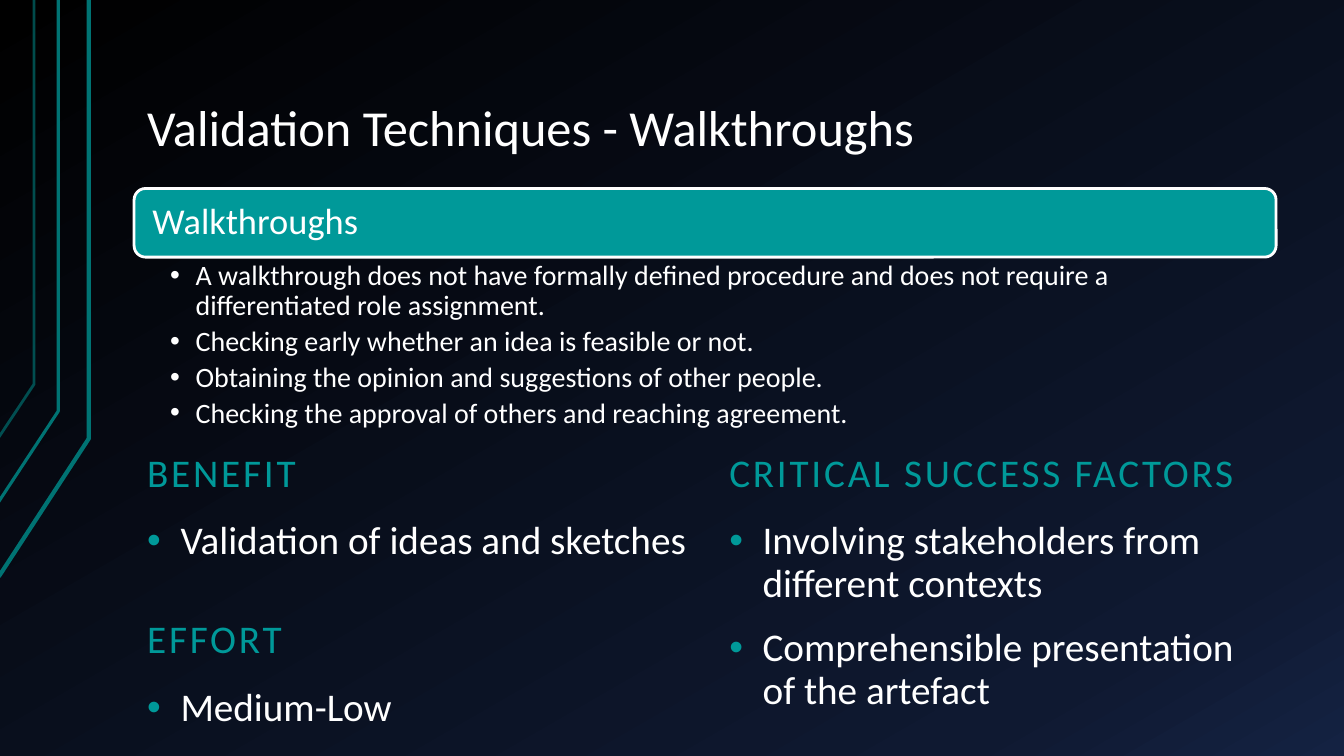
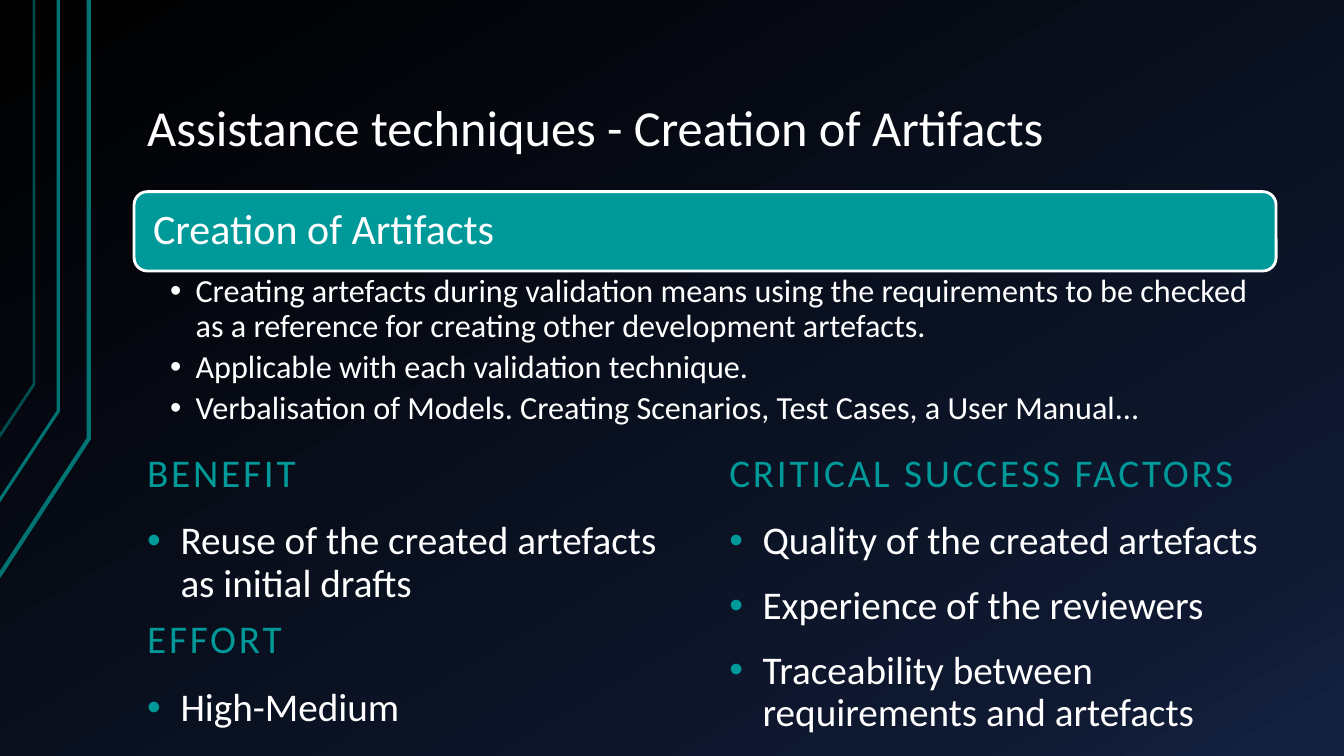
from copy import deepcopy
from dataclasses import dataclass

from lxml import etree
from pptx import Presentation
from pptx.dml.color import RGBColor
from pptx.enum.shapes import MSO_SHAPE
from pptx.enum.text import MSO_ANCHOR, MSO_AUTO_SIZE, PP_ALIGN
from pptx.oxml.ns import qn
from pptx.util import Cm, Pt

ROUNDED = MSO_SHAPE.ROUNDED_RECTANGLE
TOP, MIDDLE, BOTTOM = MSO_ANCHOR.TOP, MSO_ANCHOR.MIDDLE, MSO_ANCHOR.BOTTOM
NO_FIT = MSO_AUTO_SIZE.NONE
LEFT = PP_ALIGN.LEFT
TITLE_ONLY = 5


@dataclass(frozen=True)
class Theme:
    font: str = "Calibri"
    white: str = "FFFFFF"
    accent: str = "009999"
    trace: str = "007373"
    background: tuple = ((0, "000000"), (0.85, "0F1931"), (1, "142242"))
    background_angle: int = 300
    title_size: float = 36
    body_size: float = 28
    line_spacing: float = 0.9
    bullet_gap: float = 16
    label_tracking: int = 200
    insets: tuple = (0.33, 0.18, 0.33, 0.18)


LEFT_EDGE, RIGHT_COLUMN = 3.38, 18.05
FULL_WIDTH, COLUMN_WIDTH = 28.78, 14.27
LABEL_HEIGHT, LABEL_TO_BODY = 2.54, 2.82
FIRST_ROW, SECOND_ROW = 10.13, 14.33
SHORT_BODY, LONG_BODY = 2.18, 9.6
TRACES = (
    (((-0.03, 14.53), (2.24, 11.05), (2.24, 0)), 3, 100),
    (((-0.05, 12.67), (1.47, 10.36), (1.47, 0)), 2.25, 100),
    (((-0.03, 11.02), (0.86, 9.68), (0.86, 0)), 2, 65),
)


class SlideBuilder:
    def __init__(self, deck, theme):
        self.deck = deck
        self.theme = theme
        self.page = None
        self.paint_background()

    def paint_background(self):
        master = self.deck.slide_master
        fill = master.background.fill
        fill.gradient()
        fill.gradient_angle = self.theme.background_angle
        stop_list = next(master.element.iter(qn("a:gsLst")))
        stop_list.append(deepcopy(stop_list[-1]))
        for stop, (position, color) in zip(fill.gradient_stops, self.theme.background):
            stop.position = position
            stop.color.rgb = RGBColor.from_string(color)

    def new_page(self, title):
        self.page = self.deck.slides.add_slide(self.deck.slide_layouts[TITLE_ONLY])
        for points, width, opacity in TRACES:
            self.trace(points, width, opacity)
        box = self.page.shapes.title
        box.left, box.top = Cm(LEFT_EDGE), Cm(0.76)
        box.width, box.height = Cm(FULL_WIDTH), Cm(3.4)
        frame = self.prepare(box, BOTTOM, self.theme.insets)
        self.add_text(frame.paragraphs[0], title, self.theme.title_size)

    def trace(self, points, width, opacity):
        corners = [(Cm(x), Cm(y)) for x, y in points]
        builder = self.page.shapes.build_freeform(*corners[0])
        builder.add_line_segments(corners[1:], close=False)
        shape = builder.convert_to_shape()
        shape.shadow.inherit = False
        shape.fill.background()
        shape.line.color.rgb = RGBColor.from_string(self.theme.trace)
        shape.line.width = Pt(width)
        if opacity < 100:
            outline = next(shape.element.iter(qn("a:ln")))
            color = next(outline.iter(qn("a:srgbClr")))
            etree.SubElement(color, qn("a:alpha"), val=str(opacity * 1000))

    def prepare(self, box, anchor, insets):
        frame = box.text_frame
        frame.word_wrap = True
        frame.auto_size = NO_FIT
        frame.vertical_anchor = anchor
        (frame.margin_left, frame.margin_top,
         frame.margin_right, frame.margin_bottom) = map(Cm, insets)
        return frame

    def add_text(self, para, text, size, color=None, tracking=0):
        para.alignment = LEFT
        para.line_spacing = self.theme.line_spacing
        span = para.add_run()
        span.text = text
        span.font.name = self.theme.font
        span.font.size = Pt(size)
        span.font.color.rgb = RGBColor.from_string(color or self.theme.white)
        if tracking:
            span._r.get_or_add_rPr().set("spc", str(tracking))

    def text_box(self, left, top, width, height, anchor=TOP, insets=None):
        box = self.page.shapes.add_textbox(Cm(left), Cm(top), Cm(width), Cm(height))
        return self.prepare(box, anchor, insets or self.theme.insets)

    def bullets(self, frame, items, size, color, indent, before=0, after=0):
        for index, text in enumerate(items):
            para = frame.add_paragraph() if index else frame.paragraphs[0]
            props = para._p.get_or_add_pPr()
            props.set("marL", str(Cm(indent)))
            props.set("indent", str(-Cm(indent)))
            bullet_color = etree.SubElement(props, qn("a:buClr"))
            etree.SubElement(bullet_color, qn("a:srgbClr"), val=color)
            etree.SubElement(props, qn("a:buFont"), typeface="Arial")
            etree.SubElement(props, qn("a:buChar"), char="•")
            para.space_before = Pt(before if index else 0)
            para.space_after = Pt(after)
            self.add_text(para, text, size)

    def summary(self, heading, items, top, banner_height, height, heading_size, size):
        banner = self.page.shapes.add_shape(
            ROUNDED, Cm(LEFT_EDGE), Cm(top), Cm(FULL_WIDTH), Cm(banner_height))
        banner.shadow.inherit = False
        banner.fill.solid()
        banner.fill.fore_color.rgb = RGBColor.from_string(self.theme.accent)
        banner.line.color.rgb = RGBColor.from_string(self.theme.white)
        banner.line.width = Pt(2)
        frame = self.prepare(banner, MIDDLE, (0.38, 0, 0.38, 0))
        self.add_text(frame.paragraphs[0], heading, heading_size)
        details = self.text_box(LEFT_EDGE, top + banner_height, FULL_WIDTH, height,
                                insets=(0.91, 0.1, 0.55, 0.1))
        self.bullets(details, items, size, self.theme.white, 0.64,
                     after=round(size * 0.2, 1))

    def section(self, label, items, left, top, height):
        theme = self.theme
        heading = self.text_box(left, top, COLUMN_WIDTH, LABEL_HEIGHT, BOTTOM)
        self.add_text(heading.paragraphs[0], label, theme.body_size, theme.accent,
                      theme.label_tracking)
        body = self.text_box(left, top + LABEL_TO_BODY, COLUMN_WIDTH, height)
        self.bullets(body, items, theme.body_size, theme.accent, 0.84,
                     before=theme.bullet_gap)

    def technique(self, title, summary, benefit, effort, factors):
        self.new_page(title)
        self.section("BENEFIT", [benefit], LEFT_EDGE, FIRST_ROW, SHORT_BODY)
        self.section("CRITICAL SUCCESS FACTORS", factors, RIGHT_COLUMN, FIRST_ROW,
                     LONG_BODY)
        self.summary(**summary)
        self.section("EFFORT", [effort], LEFT_EDGE, SECOND_ROW, SHORT_BODY)


def main():
    deck = Presentation()
    deck.slide_width, deck.slide_height = Cm(33.87), Cm(19.05)
    builder = SlideBuilder(deck, Theme())
    builder.technique(
        title="Validation Techniques - Walkthroughs",
        summary=dict(
            heading="Walkthroughs",
            items=[
                "A walkthrough does not have formally deﬁned procedure and does not "
                "require a diﬀerentiated role assignment.",
                "Checking early whether an idea is feasible or not.",
                "Obtaining the opinion and suggestions of other people.",
                "Checking the approval of others and reaching agreement.",
            ],
            top=4.75, banner_height=1.73, height=4.62, heading_size=26, size=20),
        benefit="Validation of ideas and sketches",
        effort="Medium-Low",
        factors=["Involving stakeholders from diﬀerent contexts",
                 "Comprehensible presentation of the artefact"])
    builder.technique(
        title="Assistance techniques - Creation of Artifacts",
        summary=dict(
            heading="Creation of Artifacts",
            items=[
                "Creating artefacts during validation means using the requirements to "
                "be checked as a reference for creating other development artefacts.",
                "Applicable with each validation technique.",
                "Verbalisation of Models. Creating Scenarios, Test Cases, a User "
                "Manual...",
            ],
            top=4.83, banner_height=2, height=4.22, heading_size=30, size=23),
        benefit="Reuse of the created artefacts as initial drafts",
        effort="High-Medium",
        factors=["Quality of the created artefacts",
                 "Experience of the reviewers",
                 "Traceability between requirements and artefacts"])
    deck.save("out.pptx")


if __name__ == "__main__":
    main()
